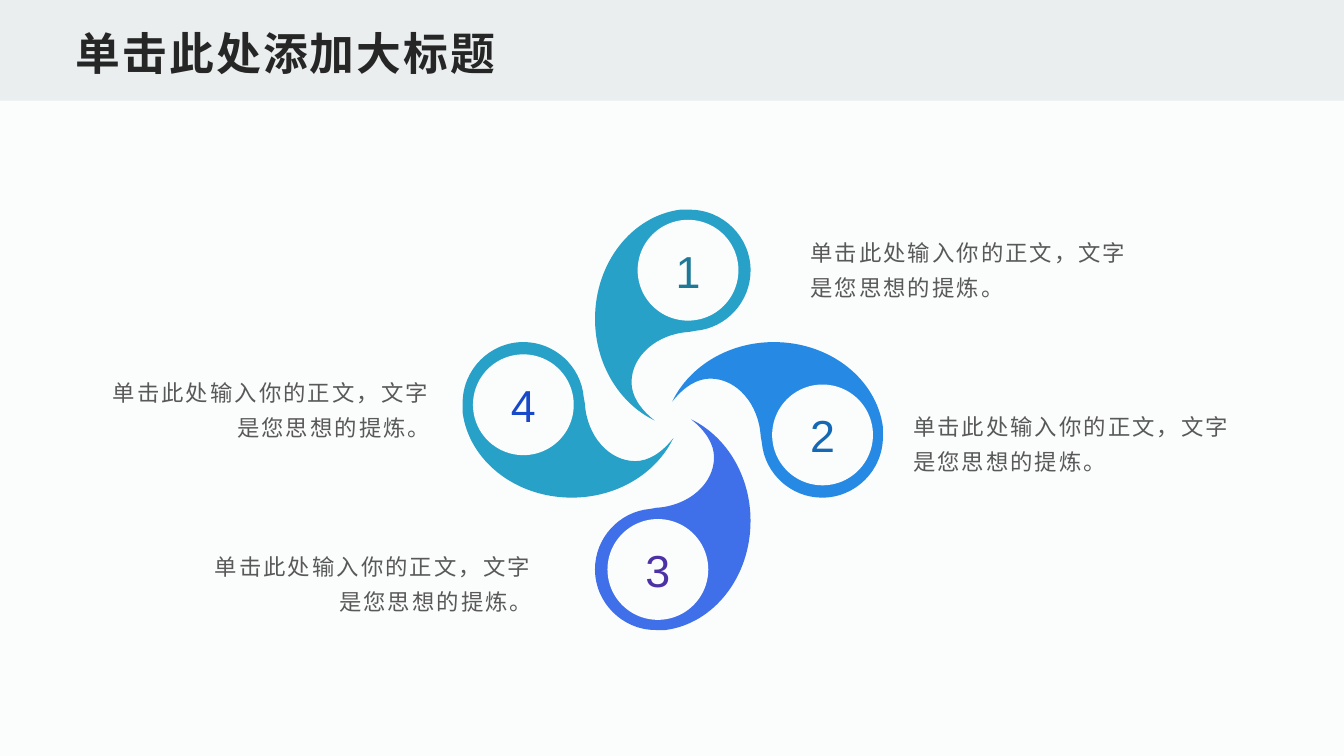
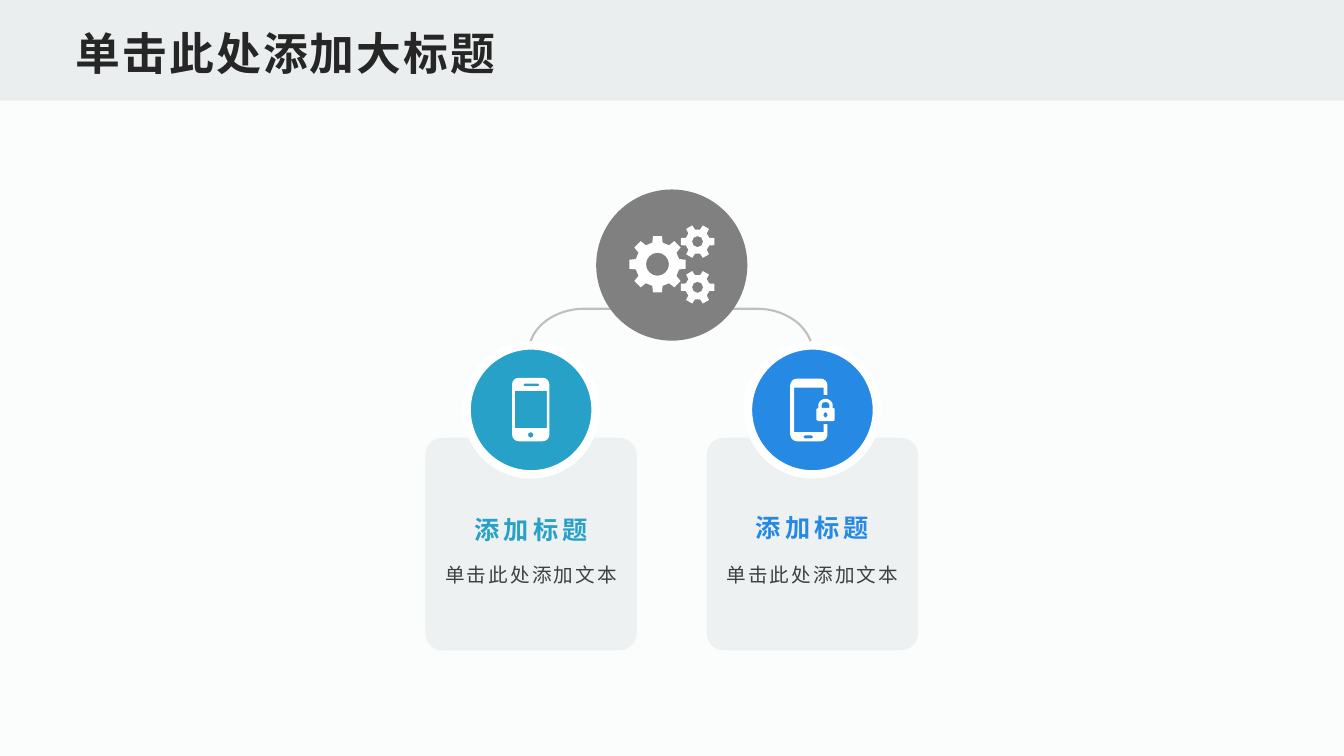
from math import cos, pi, sin

from lxml import etree
from pptx import Presentation
from pptx.dml.color import RGBColor
from pptx.enum.shapes import MSO_SHAPE
from pptx.enum.text import MSO_ANCHOR, MSO_AUTO_SIZE, PP_ALIGN
from pptx.oxml.ns import qn
from pptx.util import Cm, Pt

RECTANGLE = MSO_SHAPE.RECTANGLE
ROUNDED = MSO_SHAPE.ROUNDED_RECTANGLE
OVAL = MSO_SHAPE.OVAL
BRACKET = MSO_SHAPE.RIGHT_BRACKET
TOP, MIDDLE, BOTTOM = MSO_ANCHOR.TOP, MSO_ANCHOR.MIDDLE, MSO_ANCHOR.BOTTOM
LEFT, CENTER, RIGHT = PP_ALIGN.LEFT, PP_ALIGN.CENTER, PP_ALIGN.RIGHT
NO_AUTOSIZE = MSO_AUTO_SIZE.NONE

FONT = "Arial"
PAPER = RGBColor(0xFB, 0xFC, 0xFC)
BAND = RGBColor(0xEA, 0xEE, 0xEF)
CARD = RGBColor(0xED, 0xF1, 0xF1)
WHITE = RGBColor(0xFF, 0xFF, 0xFF)
INK = RGBColor(0x26, 0x26, 0x26)
CARD_TEXT = RGBColor(0x40, 0x40, 0x40)
BODY_TEXT = RGBColor(0x59, 0x59, 0x59)
HUB = RGBColor(0x80, 0x80, 0x80)
BRACKET_LINE = RGBColor(0xBF, 0xBF, 0xBF)
TEAL = RGBColor(0x28, 0xA1, 0xC9)
BLUE = RGBColor(0x26, 0x8A, 0xE5)
INDIGO = RGBColor(0x40, 0x70, 0xE9)

SLIDE_WIDTH, SLIDE_HEIGHT, BAND_HEIGHT = 33.87, 19.05, 2.54
TITLE = "单击此处添加大标题"
TITLE_BOX = (1.7, 0.41, 30.48, 1.7)

BLADE_TEXT = "单击此处输入你的正文，文字是您思想的提炼。"
BLADES = [
    ("4", TEAL, RGBColor(0x17, 0x49, 0xC8)),
    ("1", TEAL, RGBColor(0x1E, 0x79, 0x97)),
    ("2", BLUE, RGBColor(0x15, 0x68, 0xB3)),
    ("3", INDIGO, RGBColor(0x4D, 0x32, 0xA6)),
]
BLADE_TEXTS = [
    ((20.17, 5.63), LEFT),
    ((22.76, 10.01), LEFT),
    ((2.08, 9.15), RIGHT),
    ((4.65, 13.53), RIGHT),
]
BLADE_TEXT_SIZE = (9.02, 2.16)
WHEEL_CENTER = (16.96, 10.58)
BLADE_OFFSET = (-2.64, 0)
NUMBER_OFFSET = (-3.77, -0.38)
NUMBER_SIZE = 2.54
BLADE = ((-1.13, -1.96), [
    ((-1.97, -1.96), (-2.66, -1.27), (-2.66, -0.43)),
    ((-2.66, -0.18),),
    ((-2.5, 1.02), (-1.34, 1.96), (0.09, 1.96)),
    ((1.23, 1.96), (2.22, 1.35), (2.65, 0.46)),
    ((2.35, 0.84), (2.02, 1.04), (1.69, 1.04)),
    ((1.03, 1.04), (0.47, 0.41), (0.42, -0.41)),
    ((0.39, -0.58),),
    ((0.32, -1.35), (-0.34, -1.96), (-1.13, -1.96)),
])

CARD_BODY = "单击此处添加文本"
CARD_TOP, CARD_WIDTH, CARD_HEIGHT = 11.03, 5.33, 5.36
BADGE_Y, BADGE_SIZE = 10.33, 3.25
HUB_CENTER, HUB_SIZE = (16.93, 6.68), 3.81
BRACKET_BOX = (16.34, 4.76, 1.12, 7.16)
GEARS = [
    ((-0.36, -0.02), 0.72, 0.56, 0.29, 8),
    ((0.65, -0.59), 0.43, 0.31, 0.14, 6),
    ((0.65, 0.56), 0.43, 0.31, 0.14, 6),
]
TOOTH_PROFILE = [(-0.3, False), (-0.2, True), (0.2, True), (0.3, False)]
ARC = 0.55


def rounded_contour(x, y, width, height, radius):
    right, bottom, gap = x + width, y + height, radius * (1 - ARC)
    sides = [
        ((right - radius, y), (right - gap, y), (right, y + gap), (right, y + radius)),
        ((right, bottom - radius), (right, bottom - gap),
         (right - gap, bottom), (right - radius, bottom)),
        ((x + radius, bottom), (x + gap, bottom), (x, bottom - gap), (x, bottom - radius)),
        ((x, y + radius), (x, y + gap), (x + gap, y), (x + radius, y)),
    ]
    segments = []
    for corner, *curve in sides:
        segments.append((corner,))
        if radius:
            segments.append(tuple(curve))
    return (x + radius, y), segments


PHONE = [
    rounded_contour(-0.48, -0.81, 0.94, 1.6, 0.17),
    rounded_contour(-0.41, -0.48, 0.81, 0.94, 0),
    rounded_contour(-0.2, -0.66, 0.41, 0.06, 0.03),
    rounded_contour(-0.08, 0.56, 0.14, 0.14, 0.07),
]
PHONE_FRAME = ((-0.39, -0.79), [
    ((0.21, -0.79),),
    ((0.3, -0.79), (0.38, -0.71), (0.38, -0.62)),
    ((0.38, -0.38),), ((0.28, -0.38),), ((0.28, -0.56),), ((-0.46, -0.56),),
    ((-0.46, 0.56),), ((0.28, 0.56),), ((0.28, 0.36),), ((0.38, 0.36),),
    ((0.38, 0.62),),
    ((0.38, 0.71), (0.3, 0.79), (0.21, 0.79)),
    ((-0.39, 0.79),),
    ((-0.48, 0.79), (-0.56, 0.71), (-0.56, 0.62)),
    ((-0.56, -0.62),),
    ((-0.56, -0.71), (-0.48, -0.79), (-0.39, -0.79)),
])
PADLOCK = ((0.33, -0.28), [
    ((0.43, -0.28), (0.51, -0.2), (0.51, -0.13)),
    ((0.51, -0.05),),
    ((0.54, -0.05), (0.56, -0.04), (0.56, -0.02)),
    ((0.56, 0.25),),
    ((0.56, 0.27), (0.54, 0.28), (0.51, 0.28)),
    ((0.15, 0.28),),
    ((0.13, 0.28), (0.1, 0.27), (0.1, 0.25)),
    ((0.1, -0.02),),
    ((0.1, -0.04), (0.13, -0.05), (0.15, -0.05)),
    ((0.15, -0.13),),
    ((0.15, -0.2), (0.23, -0.28), (0.33, -0.28)),
])
SHACKLE_GAP = ((0.33, -0.2), [
    ((0.28, -0.2), (0.23, -0.18), (0.23, -0.13)),
    ((0.23, -0.05),), ((0.43, -0.05),), ((0.43, -0.13),),
    ((0.43, -0.18), (0.38, -0.2), (0.33, -0.2)),
])
LOCKED_PHONE = [
    PHONE_FRAME, PADLOCK, SHACKLE_GAP,
    rounded_contour(0.28, 0.05, 0.1, 0.15, 0.05),
    rounded_contour(-0.23, 0.64, 0.25, 0.08, 0.04),
]
CARDS = [
    (10.72, TEAL, "添加标题", 12.55, PHONE),
    (17.81, BLUE, "添加标题", 12.5, LOCKED_PHONE),
]


def lengths(values):
    return [Cm(value) for value in values]


def centered(center, size):
    return center[0] - size / 2, center[1] - size / 2, size, size


def shifted(point, origin):
    return origin[0] + point[0], origin[1] + point[1]


def paint(shape, fill):
    shape.shadow.inherit = False
    shape.fill.solid()
    shape.fill.fore_color.rgb = fill
    shape.line.fill.background()
    return shape


def add_preset(slide, kind, box, fill):
    return paint(slide.shapes.add_shape(kind, *lengths(box)), fill)


def add_outline(slide, contours, origin, fill):
    builder = None
    for start, segments in contours:
        first, *others = [tuple(lengths(shifted(point, origin)))
                          for point in [start, *(p for segment in segments for p in segment)]]
        if builder is None:
            builder = slide.shapes.build_freeform(*first)
        else:
            builder.move_to(*first)
        builder.add_line_segments(others)
    shape = paint(builder.convert_to_shape(), fill)
    lines = iter(list(shape._element.iter(qn("a:lnTo"))))
    for segment in (segment for _, segments in contours for segment in segments):
        steps = [next(lines) for _ in segment]
        if len(steps) == 3:
            curve = etree.Element(qn("a:cubicBezTo"))
            steps[0].addprevious(curve)
            for step in steps:
                curve.append(step[0])
                step.getparent().remove(step)
    return shape


def write(shape, text, size, color, align=LEFT, anchor=MIDDLE, bold=False,
          tracking=0, leading=None, insets=(0.25, 0.13, 0.25, 0.13)):
    frame = shape.text_frame
    frame.word_wrap = True
    frame.auto_size = NO_AUTOSIZE
    frame.vertical_anchor = anchor
    (frame.margin_left, frame.margin_top,
     frame.margin_right, frame.margin_bottom) = lengths(insets)
    frame.text = text
    paragraph = frame.paragraphs[0]
    paragraph.alignment = align
    if leading:
        paragraph.line_spacing = leading
    font = paragraph.font
    font.name, font.size, font.bold = FONT, Pt(size), bold
    font.color.rgb = color
    if tracking:
        properties = paragraph.runs[0]._r.get_or_add_rPr()
        properties.set("spc", str(int(tracking * 100)))


def add_text(slide, box, text, size, color, **style):
    write(slide.shapes.add_textbox(*lengths(box)), text, size, color, **style)


def add_titled_slide(presentation):
    slide = presentation.slides.add_slide(presentation.slide_layouts[5])
    band = add_preset(slide, RECTANGLE, (0, 0, SLIDE_WIDTH, BAND_HEIGHT), BAND)
    title = slide.shapes.title
    title._element.addprevious(band._element)
    title.left, title.top, title.width, title.height = lengths(TITLE_BOX)
    write(title, TITLE, 32, INK, anchor=BOTTOM, bold=True, tracking=1.5,
          insets=(0.2, 0.1, 0.2, 0.1))
    return slide


def on_wheel(offset, turns):
    x, y = offset
    for _ in range(turns):
        x, y = -y, x
    return shifted((x, y), WHEEL_CENTER)


def gear_contours(center, tip, root, hole, teeth):
    pitch = 2 * pi / teeth
    rim = []
    for tooth in range(teeth):
        for offset, is_tip in TOOTH_PROFILE:
            radius, angle = tip if is_tip else root, (tooth + offset) * pitch
            rim.append(shifted((radius * cos(angle), radius * sin(angle)), center))
    bore = rounded_contour(*centered(center, 2 * hole), hole)
    return [(rim[0], [(point,) for point in rim[1:]]), bore]


def build_pinwheel(presentation):
    slide = add_titled_slide(presentation)
    for turns, (number, fill, number_color) in enumerate(BLADES):
        blade = add_outline(slide, [BLADE], on_wheel(BLADE_OFFSET, turns), fill)
        blade.rotation = 90 * turns
        disc_box = centered(on_wheel(NUMBER_OFFSET, turns), NUMBER_SIZE)
        disc = add_preset(slide, OVAL, disc_box, PAPER)
        write(disc, number, 32, number_color, align=CENTER, insets=(0, 0, 0, 0))
    for corner, align in BLADE_TEXTS:
        add_text(slide, corner + BLADE_TEXT_SIZE, BLADE_TEXT, 16, BODY_TEXT,
                 align=align, tracking=1.5, leading=1.3)


def build_cards(presentation):
    slide = add_titled_slide(presentation)
    bracket = slide.shapes.add_shape(BRACKET, *lengths(BRACKET_BOX))
    bracket.shadow.inherit = False
    bracket.rotation = 270
    bracket.adjustments[0] = 1.254
    bracket.fill.background()
    bracket.line.color.rgb = BRACKET_LINE
    bracket.line.width = Pt(1.5)

    for left, color, heading, heading_top, icon in CARDS:
        card = add_preset(slide, ROUNDED, (left, CARD_TOP, CARD_WIDTH, CARD_HEIGHT), CARD)
        card.adjustments[0] = 0.082
        text_left, text_width = left + 0.16, CARD_WIDTH - 0.32
        add_text(slide, (text_left, 14.07, text_width, 1.4), CARD_BODY, 14, CARD_TEXT,
                 align=CENTER, anchor=TOP, tracking=1.5, leading=1.2,
                 insets=(0.25, 0, 0.25, 0.13))
        add_text(slide, (text_left, heading_top, text_width, 1.17), heading, 18, color,
                 align=CENTER, anchor=BOTTOM, bold=True, tracking=3, leading=1.2,
                 insets=(0.25, 0.13, 0.25, 0))
        center = (left + CARD_WIDTH / 2, BADGE_Y)
        badge = add_preset(slide, OVAL, centered(center, BADGE_SIZE), color)
        badge.line.color.rgb = WHITE
        badge.line.width = Pt(6)
        add_outline(slide, icon, center, WHITE)

    add_preset(slide, OVAL, centered(HUB_CENTER, HUB_SIZE), HUB)
    gears = [contour for gear in GEARS for contour in gear_contours(*gear)]
    add_outline(slide, gears, HUB_CENTER, WHITE)


def main():
    presentation = Presentation()
    presentation.slide_width, presentation.slide_height = Cm(SLIDE_WIDTH), Cm(SLIDE_HEIGHT)
    background = presentation.slide_master.background.fill
    background.solid()
    background.fore_color.rgb = PAPER
    build_pinwheel(presentation)
    build_cards(presentation)
    presentation.save("out.pptx")


if __name__ == "__main__":
    main()
